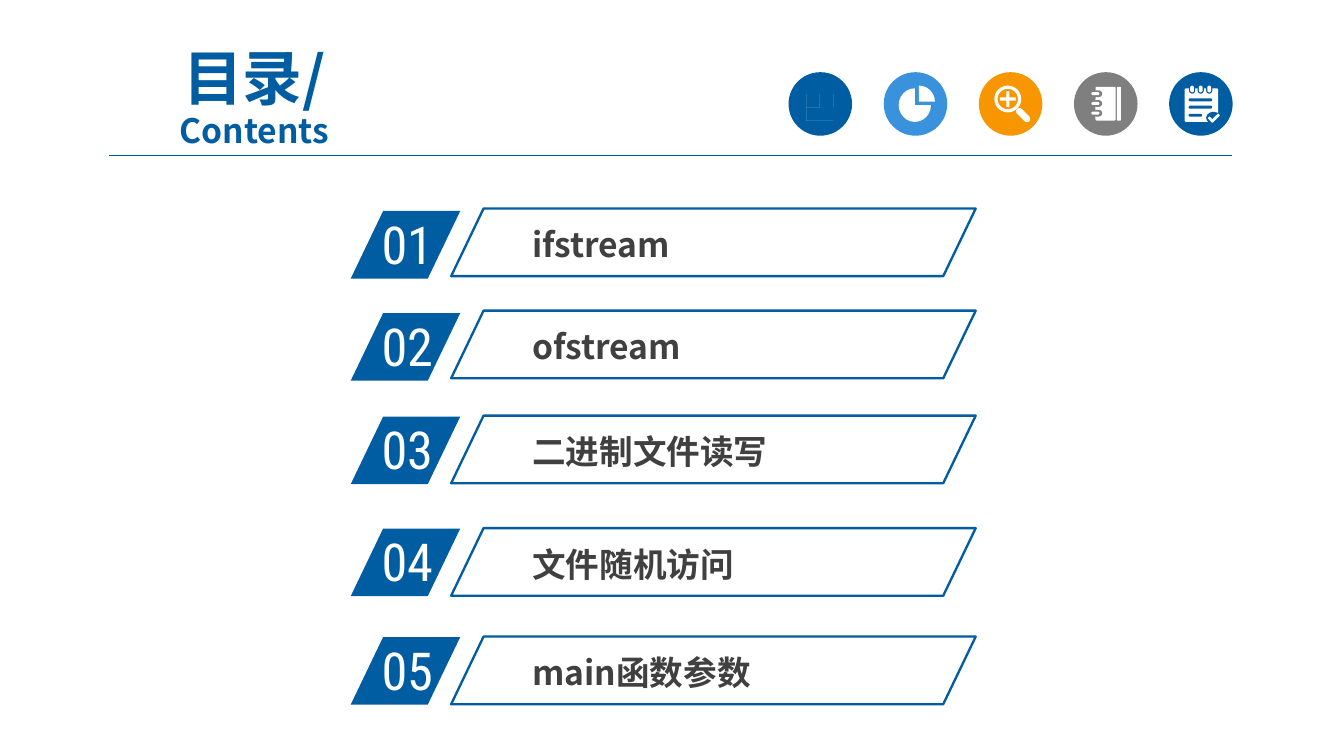
"""Build the contents slide: a heading, a row of icons and five numbered entries."""
from typing import NamedTuple

from lxml import etree
from pptx import Presentation
from pptx import util as u
from pptx.dml.color import RGBColor
from pptx.enum import shapes, text
from pptx.oxml.ns import qn

COLUMNS, ROWS = 100, 56.25
CELL = u.Inches(10) / COLUMNS
BLUE, RULE, WHITE, DARK = "005DA2", "005B9E", "FFFFFF", "404040"
SANS, CONDENSED = "Noto Sans CJK SC", "Roboto Condensed"
DISC_LEFT, DISC_TOP, DISC_SIZE, DISC_PITCH = 58.67, 5.37, 4.73, 7.08
SLANT = 0.48
S = shapes.MSO_SHAPE
BAR = S.ROUNDED_RECTANGLE


class Box(NamedTuple):
    """A rectangle in grid cells."""
    x: float
    y: float
    w: float
    h: float


class Piece(NamedTuple):
    """One part of an icon, placed from the corner of its disc."""
    kind: int
    box: Box
    cut: bool = False
    turn: float = 0
    adj: tuple = ()


class Icon(NamedTuple):
    """A coloured disc with white parts and, at need, one outline of blocks."""
    color: str
    pieces: tuple = ()
    blocks: tuple = ()


class Entry(NamedTuple):
    """A numbered line of the contents."""
    label: str
    bar_top: float
    tag_top: float


class Style(NamedTuple):
    """Type settings of a run."""
    size: float
    font: str
    color: str
    bold: bool = False


ENTRIES = [
    Entry("ifstream", 15.52, 15.7),
    Entry("ofstream", 23.12, 23.3),
    Entry("二进制文件读写", 30.93, 31),
    Entry("文件随机访问", 39.3, 39.33),
    Entry("main函数参数", 47.37, 47.4),
]

ICONS = [
    Icon(BLUE, blocks=(
        Box(1, 1.2, 0.25, 2.05),
        Box(1, 3.25, 2.7, 0.25),
        Box(1.45, 2.6, 0.55, 0.5),
        Box(2.15, 1.4, 0.55, 1.7),
        Box(2.9, 2, 0.5, 1.1),
    )),
    Icon("3992DB", (
        Piece(S.PIE, Box(1.12, 1.2, 2.4, 2.5)),
        Piece(S.PIE, Box(1.42, 1, 2.4, 2.4), adj=(162, 0)),
    )),
    Icon("F79600", (
        Piece(S.DONUT, Box(1.16, 1, 2, 2), adj=(0.12,)),
        Piece(S.CROSS, Box(1.56, 1.4, 1.2, 1.2), adj=(0.4,)),
        Piece(BAR, Box(2.65, 2.95, 1.3, 0.5), turn=45, adj=(0.5,)),
    )),
    Icon("7F7F7F", (
        Piece(BAR, Box(1.6, 1.1, 1.5, 2.5), adj=(0.06,)),
        Piece(BAR, Box(3.2, 1.1, 0.3, 2.5)),
        *(Piece(BAR, Box(1.4, y, 0.7, 0.5), cut=True, adj=(0.5,)) for y in (1.35, 2.08, 2.8)),
        *(Piece(BAR, Box(1.3, y, 0.6, 0.22), adj=(0.5,)) for y in (1.49, 2.22, 2.94)),
    )),
    Icon(BLUE, (
        Piece(BAR, Box(1.15, 1.2, 2.5, 2.5), adj=(0.05,)),
        *(Piece(BAR, Box(x, 0.9, 0.46, 0.7), cut=True, adj=(0.5,)) for x in (1.48, 2.12, 2.75)),
        *(Piece(BAR, Box(x, 1, 0.28, 0.5), adj=(0.5,)) for x in (1.57, 2.21, 2.84)),
        *(Piece(BAR, Box(1.45, y, w, 0.22), cut=True, adj=(0.5,))
          for y, w in ((1.95, 1.75), (2.5, 1.75), (3.1, 1))),
        Piece(S.OVAL, Box(2.75, 2.95, 1.1, 0.9), cut=True),
        Piece(BAR, Box(2.87, 3.42, 0.45, 0.2), turn=45),
        Piece(BAR, Box(3.03, 3.32, 0.8, 0.2), turn=-45),
    )),
]


def rgb(value: str) -> RGBColor:
    """Turn a hex string into a colour."""
    return RGBColor.from_string(value)


def emu(box: Box) -> list[int]:
    """Turn grid cells into lengths."""
    return [round(v * CELL) for v in box]


def paint(sp, fill: str = "", line: str = "") -> None:
    """Give a shape its flat fill and outline."""
    sp.shadow.inherit = False
    if fill:
        sp.fill.solid()
        sp.fill.fore_color.rgb = rgb(fill)
    else:
        sp.fill.background()
    if line:
        sp.line.color.rgb = rgb(line)
        sp.line.width = u.Pt(1.25)
    else:
        sp.line.fill.background()


def add_shape(slide, kind: int, box: Box, fill: str = "", line: str = "", adj: tuple = ()):
    """Draw a flat preset shape."""
    sp = slide.shapes.add_shape(kind, *emu(box))
    for i, value in enumerate(adj):
        sp.adjustments[i] = value
    paint(sp, fill, line)
    return sp


def add_blocks(slide, blocks: tuple, left: float, top: float) -> None:
    """Draw several white rectangles as one outline."""
    first = blocks[0]
    builder = slide.shapes.build_freeform(left + first.x, top + first.y, scale=CELL)
    for x, y, w, h in blocks:
        x, y = left + x, top + y
        builder.move_to(x, y)
        builder.add_line_segments([(x + w, y), (x + w, y + h), (x, y + h)], close=True)
    paint(builder.convert_to_shape(), WHITE)


def style_run(r, style: Style) -> None:
    """Apply type settings to a run, East Asian font included."""
    r.font.size = u.Pt(style.size)
    r.font.bold = style.bold
    r.font.name = style.font
    r.font.color.rgb = rgb(style.color)
    etree.SubElement(r.font._element, qn("a:ea"), typeface=style.font)


def add_text(slide, box: Box, content: str, *styles: Style):
    """Add a text box whose runs take the given styles in turn."""
    tf = slide.shapes.add_textbox(*emu(box)).text_frame
    tf.word_wrap = True
    p = tf.paragraphs[0]
    p.text = content
    for r, style in zip(p.runs, styles):
        style_run(r, style)
    return tf


def add_heading(slide) -> None:
    """Draw the two-line heading and the rule below it."""
    tf = add_text(slide, Box(6.6, 4.7, 24.7, 5.4), "目录/\vContents",
                  Style(32, SANS, BLUE, True), Style(18, SANS, BLUE, True))
    tf.vertical_anchor = text.MSO_ANCHOR.MIDDLE
    tf.paragraphs[0].alignment = text.PP_ALIGN.CENTER
    tf.paragraphs[0].line_spacing = 0.92
    x1, y1, x2, y2 = emu(Box(8.1, 11.56, 91.7, 11.56))
    rule = slide.shapes.add_connector(shapes.MSO_CONNECTOR.STRAIGHT, x1, y1, x2, y2)
    rule.line.color.rgb = rgb(RULE)
    rule.line.width = u.Pt(0.75)
    etree.SubElement(rule._element.spPr, qn("a:effectLst"))


def add_icon(slide, icon: Icon, left: float) -> None:
    """Draw a disc and the parts of its icon."""
    add_shape(slide, S.OVAL, Box(left, DISC_TOP, DISC_SIZE, DISC_SIZE), icon.color)
    if icon.blocks:
        add_blocks(slide, icon.blocks, left, DISC_TOP)
    for piece in icon.pieces:
        x, y, w, h = piece.box
        sp = add_shape(slide, piece.kind, Box(left + x, DISC_TOP + y, w, h),
                       icon.color if piece.cut else WHITE, adj=piece.adj)
        sp.rotation = piece.turn


def add_entry(slide, number: int, entry: Entry) -> None:
    """Draw a numbered tag and its outlined label."""
    add_shape(slide, S.PARALLELOGRAM, Box(26.1, entry.tag_top, 8.15, 5.03), BLUE, adj=(SLANT,))
    add_text(slide, Box(27.4, entry.tag_top - 0.42, 7.8, 5.7), f"{number:02d}",
             Style(28, CONDENSED, WHITE))
    tf = add_text(slide, Box(38.9, entry.bar_top + 0.75, 28.6, 3.8), entry.label,
                  Style(18, SANS, DARK, True))
    tf.margin_left = tf.margin_right = u.Inches(0.07)
    tf.margin_top = tf.margin_bottom = u.Inches(0.04)
    add_shape(slide, S.PARALLELOGRAM, Box(33.57, entry.bar_top, 39.03, 5.03), line=BLUE, adj=(SLANT,))


def main() -> None:
    """Build and save the slide."""
    prs = Presentation()
    prs.slide_width, prs.slide_height = round(COLUMNS * CELL), round(ROWS * CELL)
    slide = prs.slides.add_slide(prs.slide_layouts[6])
    add_heading(slide)
    for i, icon in enumerate(ICONS):
        add_icon(slide, icon, DISC_LEFT + i * DISC_PITCH)
    for number, entry in enumerate(ENTRIES, 1):
        add_entry(slide, number, entry)
    prs.save("out.pptx")


if __name__ == "__main__":
    main()
